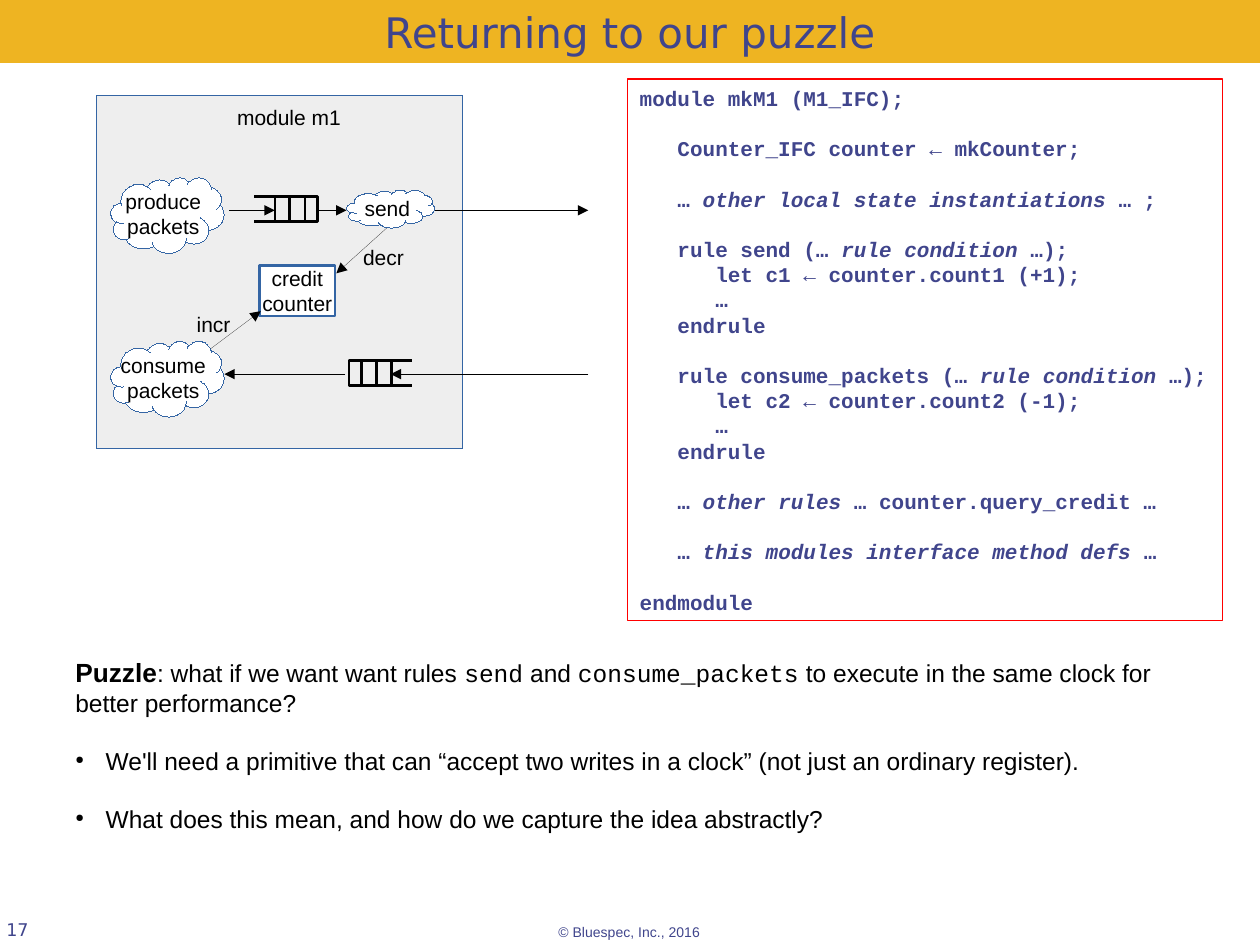
import pptx
import pptx.dml.color
import pptx.enum.shapes
import pptx.enum.text
import pptx.oxml
import pptx.oxml.ns
import pptx.util
from dataclasses import dataclass

Pt = pptx.util.Pt
Align = pptx.enum.text.PP_ALIGN
Anchor = pptx.enum.text.MSO_ANCHOR
Shape = pptx.enum.shapes.MSO_SHAPE


@dataclass(frozen=True)
class Theme:
    banner: str = "EEB422"
    heading: str = "40458C"
    body: str = "000000"
    panel: str = "EEEEEE"
    white: str = "FFFFFF"
    outline: str = "3465A4"
    frame: str = "FF0000"
    sans: str = "Arial"
    mono: str = "Courier New"
    display: str = "DejaVu Sans"
    title_size: float = 24
    lead_size: float = 15
    body_size: float = 14
    label_size: float = 12
    number_size: float = 10
    footer_size: float = 8
    label_leading: float = 14.4
    body_leading: float = 17
    bullet_gap: float = 16.1
    hairline: float = 0.01  # a width of exactly zero would fall back to the style's width


THEME = Theme()

# Asterisks enclose italic words; each group is followed by a gap.
CODE_GROUPS = [
    ["module mkM1 (M1_IFC);"],
    ["   Counter_IFC counter ← mkCounter;"],
    ["   … *other local state instantiations* … ;"],
    ["   rule send (… *rule condition* …);",
     "      let c1 ← counter.count1 (+1);", "      …", "   endrule"],
    ["   rule consume_packets (… *rule condition* …);",
     "      let c2 ← counter.count2 (-1);", "      …", "   endrule"],
    ["   … *other rules* … counter.query_credit …"],
    ["   … *this modules interface method defs* …"],
    ["endmodule"],
]
PUZZLE = [
    ("Puzzle", THEME.sans, THEME.lead_size, True),
    (": what if we want want rules ", THEME.sans, THEME.body_size, False),
    ("send", THEME.mono, THEME.body_size, False),
    (" and ", THEME.sans, THEME.body_size, False),
    ("consume_packets", THEME.mono, THEME.body_size, False),
    (" to execute in the same clock for better performance?", THEME.sans, THEME.body_size, False),
]
BULLETS = [
    "We'll need a primitive that can “accept two writes in a clock” (not just an ordinary register).",
    "What does this mean, and how do we capture the idea abstractly?",
]

# Boxes are left, top, width, height.
CLOUDS = [
    (["produce", "packets"], (63.3, 101.5, 64.8, 43.2)),
    (["consume", "packets"], (63.3, 195, 64.8, 43.2)),
    (["send"], (198, 108.7, 50.4, 21.6)),
]
LABELS = [
    ("module m1", (128.4, 56.2, 75, 20.9)),
    ("incr", (105.3, 174.2, 35, 20.9)),
    ("decr", (200.4, 136.1, 39, 20.9)),
]
SEND_Y, CONSUME_Y = 120.2, 213.8
ARROWS = [
    ((131, SEND_Y), (157, SEND_Y)),
    ((181.4, SEND_Y), (198, SEND_Y)),
    ((248.4, SEND_Y), (336.2, SEND_Y)),
    ((336.2, CONSUME_Y), (223.2, CONSUME_Y)),
    ((197.3, CONSUME_Y), (128.2, CONSUME_Y)),
    ((221, 130.3), (192.2, 156.2)),
    ((120.2, 199.4), (149, 177.8)),
]
# Closed end, direction towards the open end, top
QUEUES = [(181.4, -1, 112.3), (199.4, 1, 205.9)]
QUEUE_LENGTH, QUEUE_HEIGHT = 36, 14.4
QUEUE_BARS = [7.2, 15.8, 24.3]


def color(value):
    return pptx.dml.color.RGBColor.from_string(value)


def points(values):
    return [Pt(value) for value in values]


def style_shape(shape, fill=None, line=None, width=THEME.hairline):
    shape.shadow.inherit = False
    if fill:
        shape.fill.solid()
        shape.fill.fore_color.rgb = color(fill)
    else:
        shape.fill.background()
    if line:
        shape.line.color.rgb = color(line)
        shape.line.width = Pt(width)
    else:
        shape.line.fill.background()


def set_frame(shape, anchor=Anchor.TOP, wrap=True, margins=(7.2, 3.6)):
    frame = shape.text_frame
    frame.word_wrap = wrap
    frame.vertical_anchor = anchor
    frame.margin_left = frame.margin_right = Pt(margins[0])
    frame.margin_top = frame.margin_bottom = Pt(margins[1])
    return frame


def next_paragraph(frame, align=Align.LEFT, leading=None, before=0):
    """Use the empty first paragraph, or append one."""
    first = frame.paragraphs[0]
    paragraph = frame.add_paragraph() if first.runs else first
    paragraph.alignment = align
    if leading:
        paragraph.line_spacing = Pt(leading)
    if before:
        paragraph.space_before = Pt(before)
    return paragraph


def add_run(paragraph, text, size=THEME.label_size, font=THEME.sans, ink=THEME.body,
            bold=False, italic=False):
    run = paragraph.add_run()
    run.text = text
    run.font.name, run.font.size = font, Pt(size)
    run.font.bold, run.font.italic = bold, italic
    run.font.color.rgb = color(ink)


def add_shape(slide, kind, box, fill=None, line=None, width=THEME.hairline):
    shape = slide.shapes.add_shape(kind, *points(box))
    style_shape(shape, fill, line, width)
    return shape


def add_label(slide, text, box, size=THEME.label_size, ink=THEME.body):
    """Add one line of text in a box that grows with it instead of wrapping."""
    frame = set_frame(slide.shapes.add_textbox(*points(box)), wrap=False)
    frame.auto_size = pptx.enum.text.MSO_AUTO_SIZE.SHAPE_TO_FIT_TEXT
    add_run(next_paragraph(frame), text, size, ink=ink)


def add_centered_lines(shape, lines):
    frame = set_frame(shape, Anchor.MIDDLE, wrap=False)
    for line in lines:
        add_run(next_paragraph(frame, Align.CENTER, THEME.label_leading), line)


def add_line(shapes, start, end, width=THEME.hairline, arrow=False):
    connector = shapes.add_connector(
        pptx.enum.shapes.MSO_CONNECTOR.STRAIGHT, *points(start + end))
    connector.line.color.rgb = color(THEME.body)
    connector.line.width = Pt(width)
    namespace = pptx.oxml.ns.nsdecls("a")
    if arrow:
        connector.line._get_or_add_ln().append(
            pptx.oxml.parse_xml(f'<a:tailEnd {namespace} type="triangle"/>'))
    connector._element.spPr.append(pptx.oxml.parse_xml(f"<a:effectLst {namespace}/>"))


def add_queue(slide, closed_x, direction, top):
    group = slide.shapes.add_group_shape()
    open_x, bottom = closed_x + direction * QUEUE_LENGTH, top + QUEUE_HEIGHT
    builder = group.shapes.build_freeform(Pt(open_x), Pt(top))
    corners = [(closed_x, top), (closed_x, bottom), (open_x, bottom)]
    builder.add_line_segments([points(corner) for corner in corners], close=False)
    style_shape(builder.convert_to_shape(), line=THEME.body, width=1.5)
    for offset in QUEUE_BARS:
        x = closed_x + direction * offset
        add_line(group.shapes, (x, top), (x, bottom), 1.5)


def add_bullet(paragraph):
    properties = paragraph._p.get_or_add_pPr()
    properties.set("marL", str(Pt(17.3)))
    properties.set("indent", str(-Pt(17.3)))
    for element in (f'buClr {{}}><a:srgbClr val="{THEME.body}"/></a:buClr>',
                    'buSzPct {} val="45000"/>', 'buChar {} char="●"/>'):
        properties.append(pptx.oxml.parse_xml(
            "<a:" + element.format(pptx.oxml.ns.nsdecls("a"))))


def add_diagram(slide):
    add_shape(slide, Shape.RECTANGLE, (55.4, 54.7, 208.8, 201.6), THEME.panel, THEME.outline)
    for queue in QUEUES:
        add_queue(slide, *queue)
    counter = add_shape(slide, Shape.RECTANGLE, (148.3, 151.9, 43.2, 28.8),
                        THEME.white, THEME.outline, 1.5)
    add_centered_lines(counter, ["credit", "counter"])
    for lines, box in CLOUDS:
        add_centered_lines(add_shape(slide, Shape.CLOUD, box, THEME.white, THEME.outline), lines)
    for start, end in ARROWS:
        add_line(slide.shapes, start, end, arrow=True)
    for text, box in LABELS:
        add_label(slide, text, box)


def add_code(slide):
    panel = add_shape(slide, Shape.RECTANGLE, (358.5, 45.2, 340.2, 309.6),
                      line=THEME.frame, width=0.75)
    frame = set_frame(panel)
    for group_index, group in enumerate(CODE_GROUPS):
        for line_index, line in enumerate(group):
            gap = THEME.label_leading if group_index and not line_index else 0
            paragraph = next_paragraph(frame, leading=THEME.label_leading, before=gap)
            for index, part in enumerate(line.split("*")):
                add_run(paragraph, part, font=THEME.mono, ink=THEME.heading,
                        bold=True, italic=index % 2 == 1)


def add_puzzle(slide):
    frame = set_frame(slide.shapes.add_textbox(*points((36, 372.5, 648, 103.7))))
    paragraph = next_paragraph(frame, leading=THEME.body_leading)
    for text, font, size, bold in PUZZLE:
        add_run(paragraph, text, size, font, bold=bold)
    for text in BULLETS:
        paragraph = next_paragraph(frame, leading=THEME.body_leading, before=THEME.bullet_gap)
        add_bullet(paragraph)
        add_run(paragraph, text, THEME.body_size)


def main():
    presentation = pptx.Presentation()
    presentation.slide_width, presentation.slide_height = Pt(720), Pt(540)
    slide = presentation.slides.add_slide(presentation.slide_layouts[6])

    add_label(slide, "© Bluespec, Inc., 2016", (312, 524.2, 96, 16.6),
              THEME.footer_size, THEME.heading)
    number = set_frame(slide.shapes.add_textbox(*points((3.6, 501.1, 149.8, 36))),
                       Anchor.BOTTOM, margins=(0, 0))
    add_run(next_paragraph(number), "17", THEME.number_size, THEME.display, THEME.heading)
    banner = add_shape(slide, Shape.RECTANGLE, (0, 0, 720, 36), THEME.banner)
    title = set_frame(banner, Anchor.BOTTOM, margins=(0, 3.6))
    add_run(next_paragraph(title, Align.CENTER), "Returning to our puzzle",
            THEME.title_size, THEME.display, THEME.heading)

    add_diagram(slide)
    add_code(slide)
    add_puzzle(slide)
    presentation.save("out.pptx")


if __name__ == "__main__":
    main()
